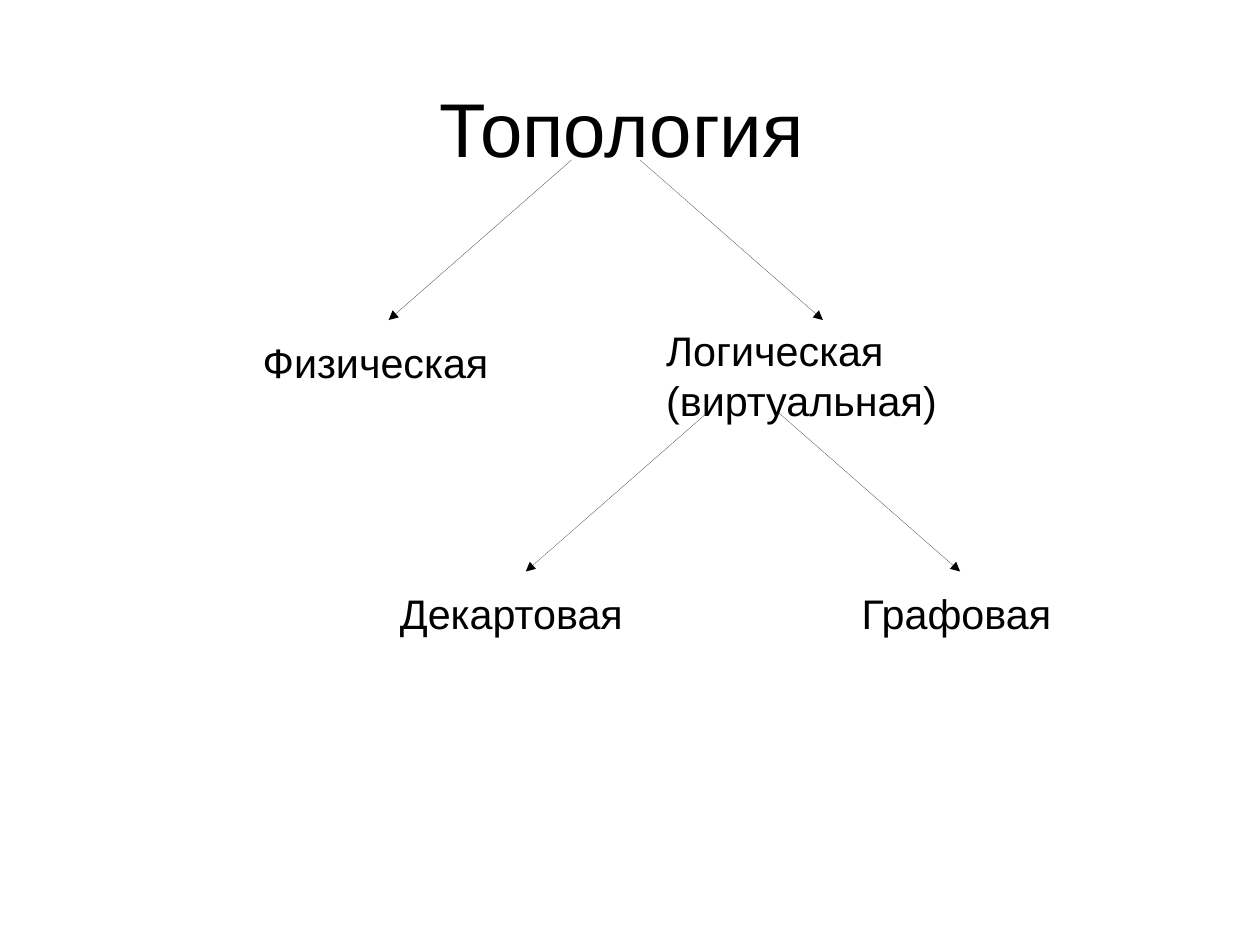
from dataclasses import dataclass

from lxml.etree import SubElement
from pptx import Presentation
from pptx.dml.color import RGBColor
from pptx.enum.shapes import MSO_CONNECTOR
from pptx.enum.text import MSO_ANCHOR, MSO_AUTO_SIZE, PP_ALIGN
from pptx.oxml.ns import qn
from pptx.slide import Slide
from pptx.text.text import TextFrame, _Paragraph
from pptx.util import Inches, Pt

COLORS = {"background": "FFFFFF", "ink": "000000"}
FONT = "Arial"
CM_PER_INCH = 2.54
PAGE_WIDTH_CM = 28
PAGE_HEIGHT_CM = 21
TITLE_SIZE = 48
LABEL_SIZE = 26
HAIRLINE = 0.01
BRANCH_DROP = 1.4
BRANCH_SPREAD = 1.6


@dataclass(frozen=True)
class Label:
    left: float
    top: float
    width: float
    height: float
    lines: tuple[str, ...]
    wrap: bool = False


@dataclass(frozen=True)
class Fork:
    left_start: float
    right_start: float
    top: float


LABELS = (
    Label(2.2, 2.9, 2.18, 0.5, ("Физическая",)),
    Label(5.73, 2.8, 2.57, 0.91, ("Логическая", "(виртуальная)")),
    Label(3.4, 5.1, 2.16, 0.5, ("Декартовая",)),
    Label(7.44, 5.1, 1.86, 0.6, ("Графовая",), wrap=True),
)
FORKS = (Fork(5, 5.6, 1.4), Fork(6.2, 6.8, 3.6))


def add_span(para: _Paragraph, text: str, size: float) -> None:
    span = para.add_run()
    span.text = text
    span.font.name = FONT
    span.font.size = Pt(size)
    span.font.bold = False
    span.font.color.rgb = RGBColor.from_string(COLORS["ink"])


def set_margins(frame: TextFrame, horizontal: float, vertical: float) -> None:
    frame.margin_left = frame.margin_right = Inches(horizontal)
    frame.margin_top = frame.margin_bottom = Inches(vertical)


def add_title(page: Slide, text: str) -> None:
    title = page.shapes.title
    title.left, title.top = Inches(0.48), Inches(0.33)
    title.width, title.height = Inches(9.92), Inches(1.57)
    frame = title.text_frame
    set_margins(frame, 0, 0)
    frame.auto_size = MSO_AUTO_SIZE.SHAPE_TO_FIT_TEXT
    frame.vertical_anchor = MSO_ANCHOR.MIDDLE
    para = frame.paragraphs[0]
    para.alignment = PP_ALIGN.CENTER
    add_span(para, text, TITLE_SIZE)


def add_label(page: Slide, label: Label) -> None:
    box = page.shapes.add_textbox(
        Inches(label.left), Inches(label.top), Inches(label.width), Inches(label.height)
    )
    frame = box.text_frame
    set_margins(frame, 0.1, 0.05)
    frame.word_wrap = label.wrap
    frame.auto_size = MSO_AUTO_SIZE.SHAPE_TO_FIT_TEXT
    for index, line in enumerate(label.lines):
        para = frame.add_paragraph() if index else frame.paragraphs[0]
        para.alignment = PP_ALIGN.LEFT
        add_span(para, line, LABEL_SIZE)


def add_arrow(page: Slide, start: float, top: float, shift: float) -> None:
    arrow = page.shapes.add_connector(
        MSO_CONNECTOR.STRAIGHT,
        Inches(start),
        Inches(top),
        Inches(start + shift),
        Inches(top + BRANCH_DROP),
    )
    arrow.line.color.rgb = RGBColor.from_string(COLORS["ink"])
    arrow.line.width = Pt(HAIRLINE)
    properties = arrow._element.spPr
    SubElement(properties.find(qn("a:ln")), qn("a:tailEnd"), type="triangle")
    SubElement(properties, qn("a:effectLst"))


def add_fork(page: Slide, fork: Fork) -> None:
    add_arrow(page, fork.left_start, fork.top, -BRANCH_SPREAD)
    add_arrow(page, fork.right_start, fork.top, BRANCH_SPREAD)


def main() -> None:
    deck = Presentation()
    deck.slide_width = Inches(PAGE_WIDTH_CM / CM_PER_INCH)
    deck.slide_height = Inches(PAGE_HEIGHT_CM / CM_PER_INCH)
    page = deck.slides.add_slide(deck.slide_layouts.get_by_name("Title Only"))
    page.background.fill.solid()
    page.background.fill.fore_color.rgb = RGBColor.from_string(COLORS["background"])
    add_title(page, "Топология")
    for fork in FORKS:
        add_fork(page, fork)
    for label in LABELS:
        add_label(page, label)
    deck.save("out.pptx")


if __name__ == "__main__":
    main()
